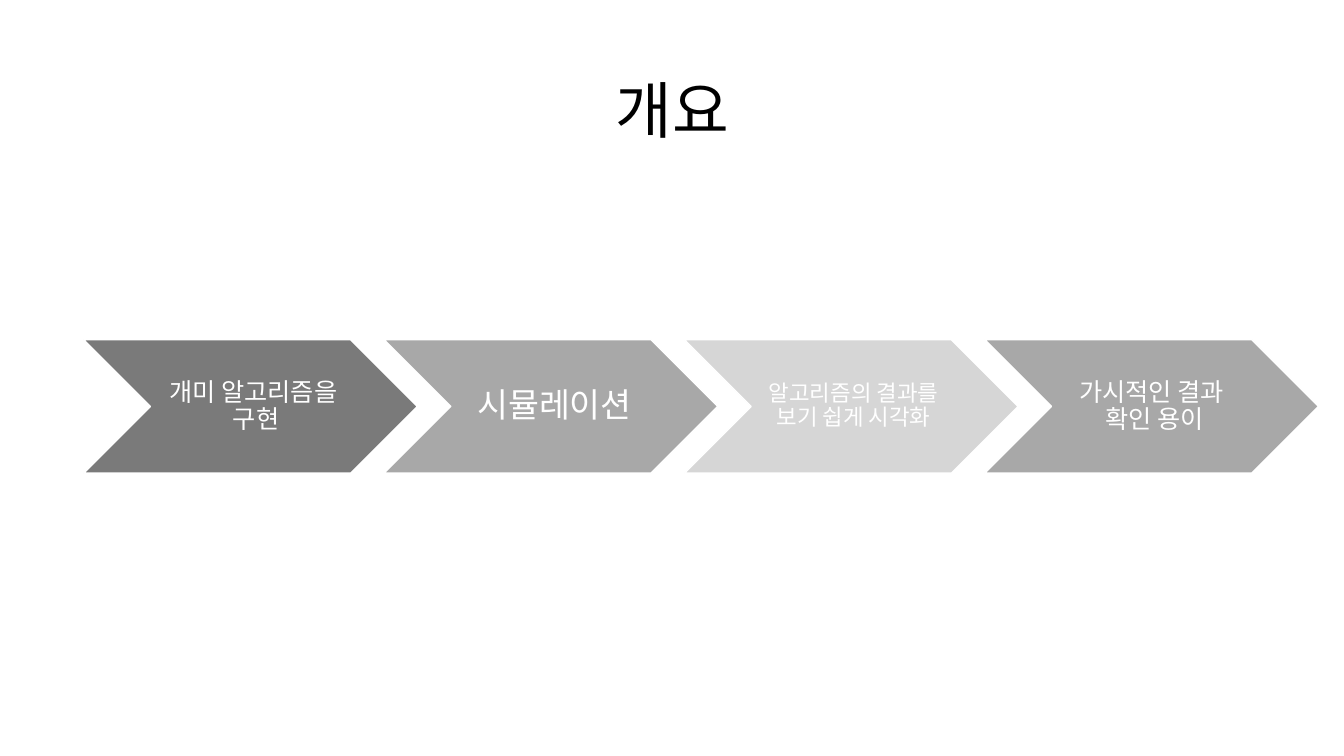
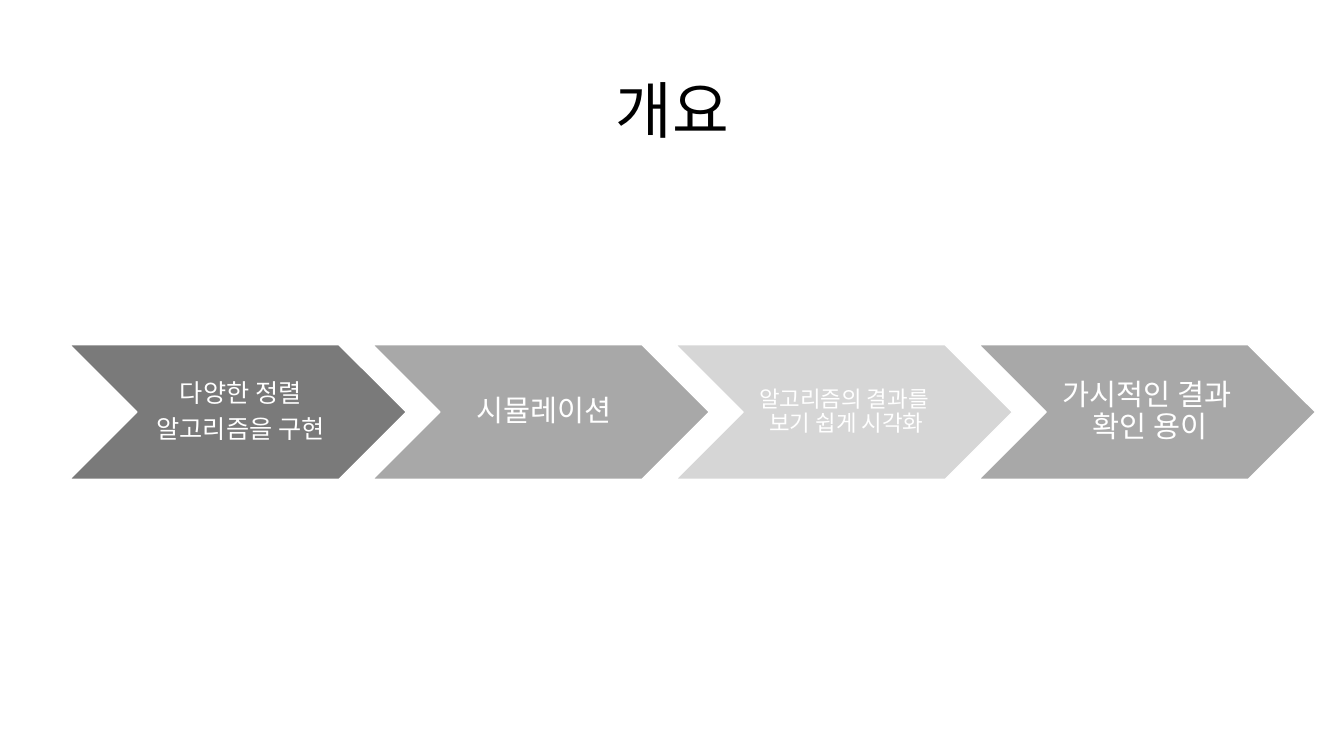
from dataclasses import dataclass

from lxml import etree
from pptx import Presentation
from pptx.dml.color import RGBColor
from pptx.enum import shapes, text
from pptx.oxml.ns import qn
from pptx.util import Inches, Pt


@dataclass(frozen=True)
class Theme:
    font: str = "Noto Sans CJK KR"
    ink: str = "000000"
    paper: str = "FFFFFF"
    steps: tuple = ("7A7A7A", "A8A8A8", "D6D6D6", "A8A8A8")
    title_size: int = 44
    line_spacing: float = 0.9


theme = Theme()


def write(box, lines, size, color, gap=0):
    """Fill a shape with centred paragraphs; a vertical tab breaks a line."""
    frame = box.text_frame
    frame.word_wrap = True
    frame.vertical_anchor = text.MSO_ANCHOR.MIDDLE
    for index, line in enumerate(lines):
        para = frame.paragraphs[0] if index == 0 else frame.add_paragraph()
        para.text = line
        para.alignment = text.PP_ALIGN.CENTER
        para.line_spacing = theme.line_spacing
        para.space_after = Pt(gap)
        for span in para.runs:
            span.font.size = Pt(size)
            span.font.color.rgb = RGBColor.from_string(color)
            span.font.name = theme.font
            east_asian = etree.SubElement(span.font._element, qn("a:ea"))
            east_asian.set("typeface", theme.font)


# Content: left, top and step width, then each step's size and paragraphs
pages = [
    (0.83, 3.37, 3.31, [
        (18, ["개미 알고리즘을\v 구현"]),
        (24, ["시뮬레이션"]),
        (16, ["알고리즘의 결과를\v보기 쉽게 시각화"]),
        (18, ["가시적인 결과 \v확인 용이"]),
    ]),
    (0.69, 3.42, 3.34, [
        (18, ["다양한 정렬", "알고리즘을 구현"]),
        (21, ["시뮬레이션"]),
        (16, ["알고리즘의 결과를 \v보기 쉽게 시각화"]),
        (21, ["가시적인 결과 \v확인 용이"]),
    ]),
]

deck = Presentation()
deck.slide_width, deck.slide_height = Inches(13.33), Inches(7.5)

for left, top, width, steps in pages:
    page = deck.slides.add_slide(deck.slide_layouts[6])

    # Title
    title = page.shapes.add_textbox(Inches(0.92), Inches(0.4), Inches(11.5), Inches(1.45))
    write(title, ["개요"], theme.title_size, theme.ink)

    # Chevron process: steps overlap by a tenth of their width
    for index, (size, lines) in enumerate(steps):
        step = page.shapes.add_shape(
            shapes.MSO_SHAPE.CHEVRON,
            Inches(left + index * 0.9 * width), Inches(top),
            Inches(width), Inches(0.4 * width))
        step.shadow.inherit = False
        step.fill.solid()
        step.fill.fore_color.rgb = RGBColor.from_string(theme.steps[index])
        step.line.color.rgb = RGBColor.from_string(theme.paper)
        step.line.width = Pt(1)

        # Insets grow with the type size
        inset = size / 225
        frame = step.text_frame
        frame.margin_left = Inches(inset)
        frame.margin_top = frame.margin_right = frame.margin_bottom = Inches(inset / 3)
        write(step, lines, size, theme.paper, gap=0.35 * size)

deck.save("out.pptx")
